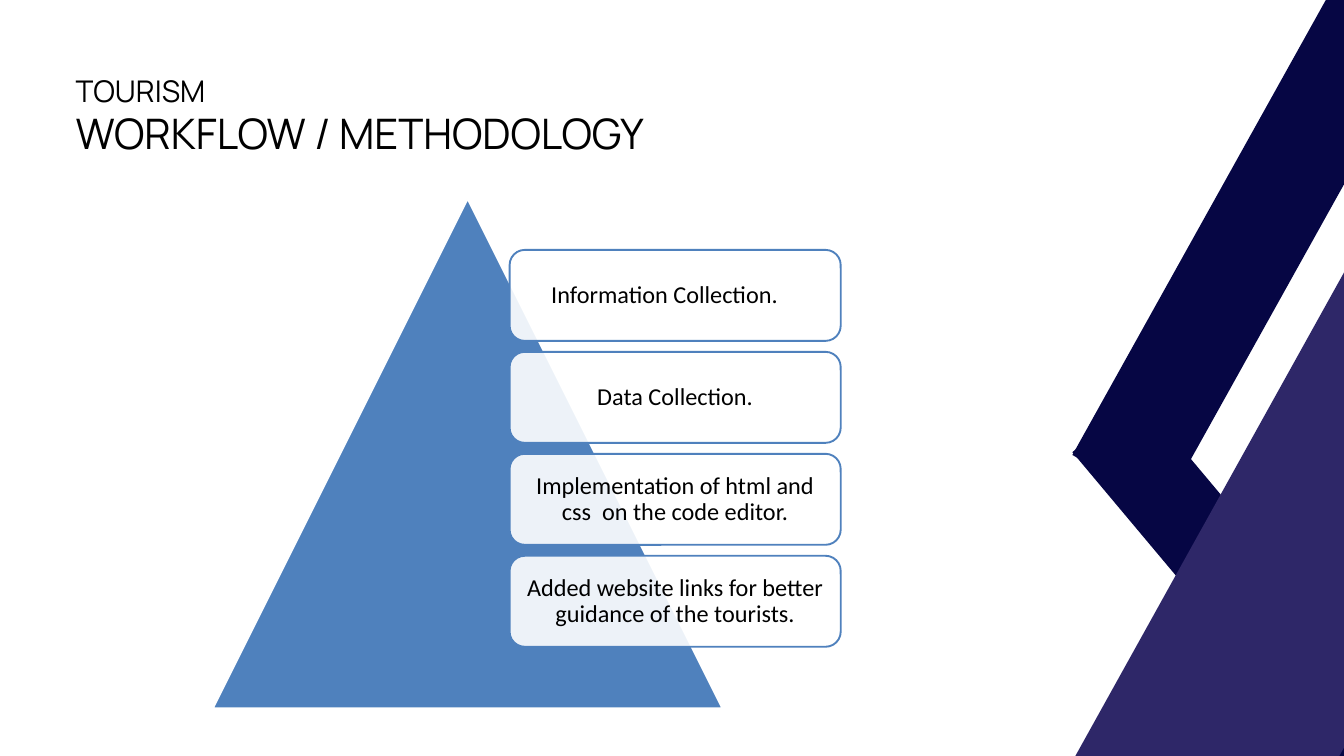
from lxml import etree
from pptx import Presentation
from pptx.dml.color import RGBColor
from pptx.enum.shapes import MSO_SHAPE
from pptx.enum.text import MSO_ANCHOR, MSO_AUTO_SIZE, PP_ALIGN
from pptx.oxml.ns import qn
from pptx.util import Pt

PX = 9525
TITLE_ONLY = 5
TRIANGLE, ROUNDED = MSO_SHAPE.ISOSCELES_TRIANGLE, MSO_SHAPE.ROUNDED_RECTANGLE
TOP, MIDDLE = MSO_ANCHOR.TOP, MSO_ANCHOR.MIDDLE
LEFT, CENTER = PP_ALIGN.LEFT, PP_ALIGN.CENTER
NO_AUTO_SIZE = MSO_AUTO_SIZE.NONE

BLACK = RGBColor(0x00, 0x00, 0x00)
WHITE = RGBColor(0xFF, 0xFF, 0xFF)
BLUE = RGBColor(0x4F, 0x81, 0xBD)
NAVY = RGBColor(0x06, 0x06, 0x44)
PURPLE = RGBColor(0x2E, 0x27, 0x68)

BANDS = [
    (NAVY, [(1981, -156), (2113, -83), (1664, 723), (1532, 650)]),
    (NAVY, [(1532, 646), (1626, 566), (2220, 1274), (2125, 1353)]),
    (PURPLE, [(2223, -156), (2512, 4), (1767, 1343), (1479, 1183)]),
]
STEPS = [
    ("Information Collection.", 30),
    ("Data Collection.", 0),
    ("Implementation of html and css  on the code editor.", 0),
    ("Added website links for better guidance of the tourists.", 0),
]


def emu(*lengths):
    """Turn px lengths into EMU."""
    return [round(length * PX) for length in lengths]


def write_text(shape, text, *, font, size, spacing, align=LEFT, anchor=TOP, insets=(0, 0, 0, 0)):
    """Put one formatted paragraph into a shape."""
    frame = shape.text_frame
    frame.word_wrap = True
    frame.auto_size = NO_AUTO_SIZE
    frame.vertical_anchor = anchor
    frame.margin_left, frame.margin_top, frame.margin_right, frame.margin_bottom = emu(*insets)
    paragraph = frame.paragraphs[0]
    paragraph.alignment = align
    paragraph.line_spacing = spacing
    run = paragraph.add_run()
    run.text = text
    run.font.name = font
    run.font.size = Pt(size)
    run.font.color.rgb = BLACK


def paint(shape, fill, line=None, opacity=100):
    """Set the fill, outline and opacity of a shape."""
    shape.shadow.inherit = False
    shape.fill.solid()
    shape.fill.fore_color.rgb = fill
    if opacity < 100:
        color = shape.fill._xPr.find(qn("a:solidFill"))[0]
        etree.SubElement(color, qn("a:alpha")).set("val", str(opacity * 1000))
    if line is None:
        shape.line.fill.background()
    else:
        shape.line.color.rgb = line
        shape.line.width = Pt(2)


def add_bands(slide):
    """Draw the slanted bands that run off the right edge."""
    for color, points in BANDS:
        builder = slide.shapes.build_freeform(*points[0], scale=PX)
        builder.add_line_segments(points[1:], close=True)
        paint(builder.convert_to_shape(), color)


def add_heading(slide, left, top, width):
    """Place the topic line and the slide title below it."""
    title = slide.shapes.title
    title.left, title.top, title.width, title.height = emu(left, top + 51, width, 67)
    write_text(title, "WORKFLOW / METHODOLOGY", font="Manrope", size=45, spacing=Pt(49.5))
    topic = slide.shapes.add_textbox(*emu(left, top, 568, 47))
    write_text(topic, "TOURISM", font="Manrope", size=32, spacing=Pt(35.2))


def add_pyramid(slide, left, top, size):
    """Draw the triangle with the step boxes laid over its right side."""
    triangle = slide.shapes.add_shape(TRIANGLE, *emu(left, top, size, size))
    paint(triangle, BLUE, WHITE)
    box_left, box_top, box_width, box_height = left + 424, top + 73, 473, 130
    pitch = (567 - box_height) / (len(STEPS) - 1)
    for index, (text, extra_right) in enumerate(STEPS):
        place = emu(box_left, box_top + index * pitch, box_width, box_height)
        box = slide.shapes.add_shape(ROUNDED, *place)
        paint(box, WHITE, BLUE, opacity=90)
        write_text(box, text, font="Calibri", size=26, spacing=0.9, align=CENTER,
                   anchor=MIDDLE, insets=(17, 17, 17 + extra_right, 17))


def main():
    """Build the slide and save it."""
    presentation = Presentation()
    presentation.slide_width, presentation.slide_height = emu(1920, 1080)
    slide = presentation.slides.add_slide(presentation.slide_layouts[TITLE_ONLY])
    add_bands(slide)
    add_heading(slide, 108, 108, 942)
    add_pyramid(slide, 304, 284, 728)
    presentation.save("out.pptx")


if __name__ == "__main__":
    main()
